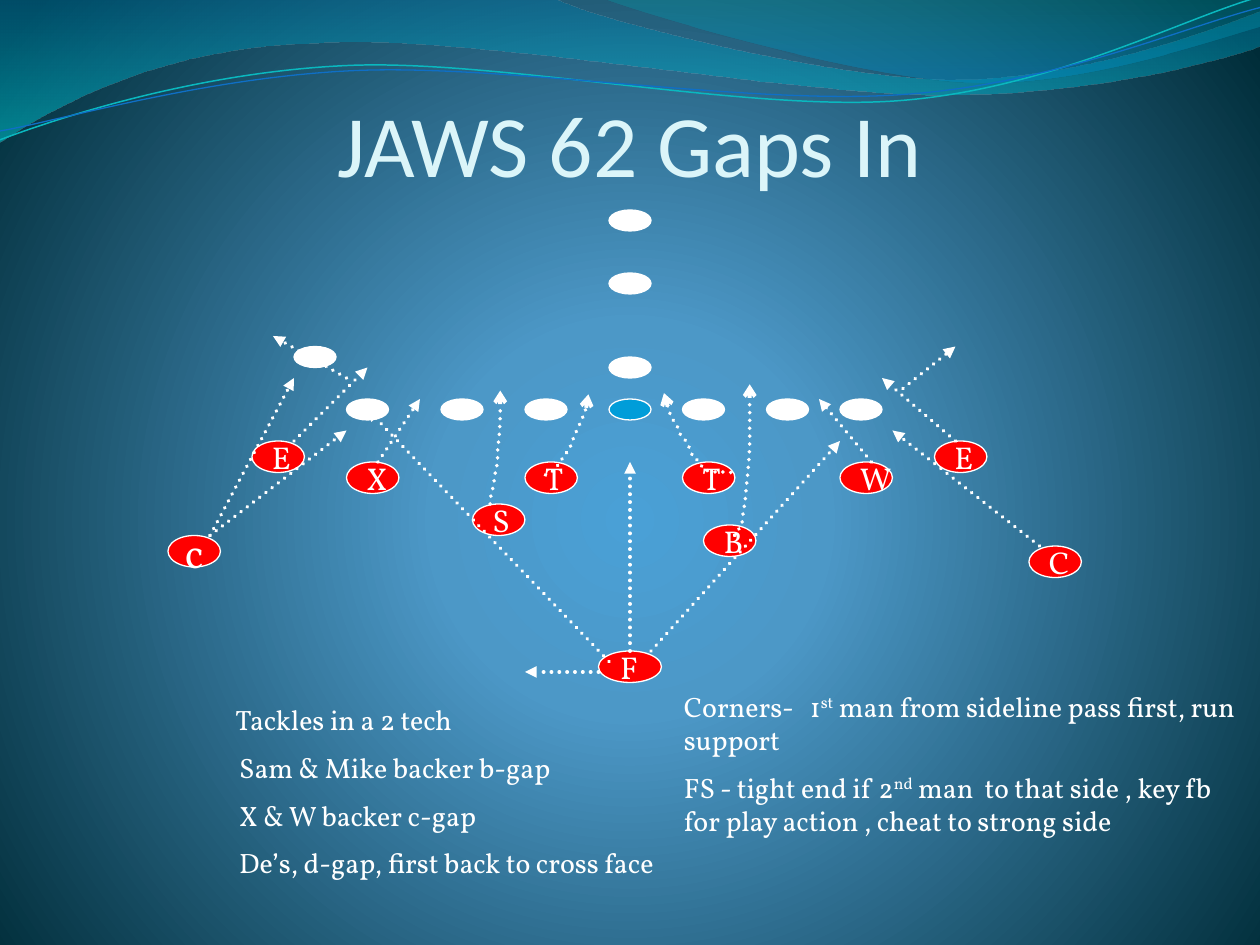
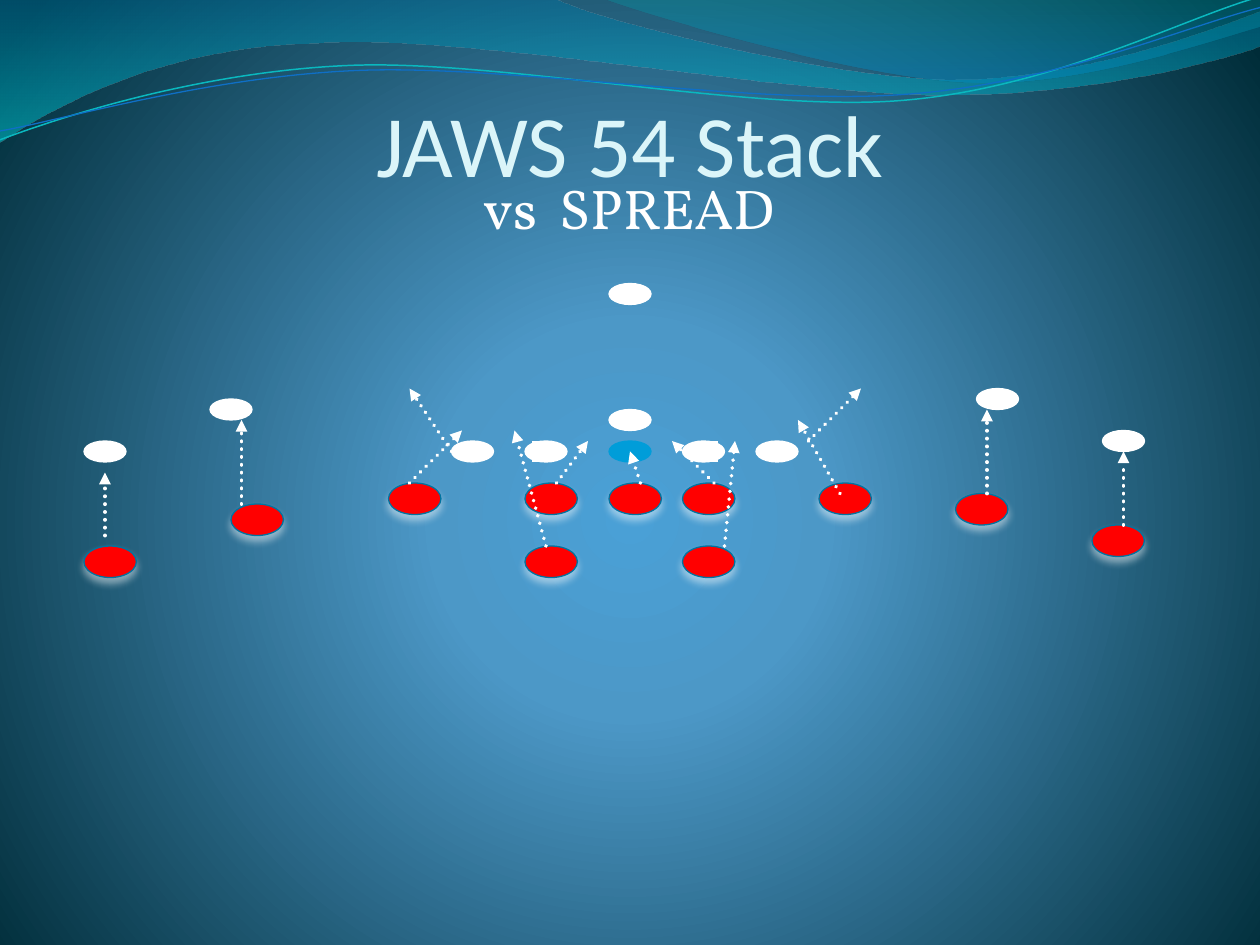
import pptx
import pptx.util
import pptx.dml.color
import pptx.enum.dml
import pptx.enum.shapes
import pptx.enum.text
import pptx.oxml
import pptx.oxml.ns

WIDE, HIGH, CELL = 10, 7.5, 1 / 12
WHITE, RED, BLUE, TEAL, PALE = "FFFFFF", "FF0000", "009DD9", "0074A1", "DBF5F9"
HEAD, BODY = "Calibri", "Vollkorn"
BACK = [(0, "4AA0D6", 100), (25, "4C98C7", 100), (100, "002C38", 100)]
GLOW = '<a:path path="circle"><a:fillToRect l="10000" t="110000" r="10000" b="100000"/></a:path>'
DOWN = '<a:lin ang="5400000" scaled="1"/>'

BANDS = [
    ([(0, 0), (4.4, -0.01), (4.76, 0.17, 6.64, 0.63, 7.58, 0.63),
      (8.53, 0.63, 9.58, 0.26, 10, 0.09), (10.01, 0.36),
      (9.83, 0.44, 8.7, 0.76, 7.46, 0.75), (6.22, 0.75, 3.82, 0.28, 2.57, 0.34),
      (1.29, 0.36, 0.46, 0.83, -0.01, 1.13), (0, 0)],
     [(0, TEAL, 45), (100, "00C6CF", 55)]),
    ([(4.79, -0.01), (5.09, 0.11, 6.82, 0.62, 7.69, 0.65),
      (8.56, 0.69, 9.61, 0.32, 10, 0.21), (10, 0), (4.79, -0.01)],
     [(0, "00A1A9", 30), (80, "008BBF", 45)]),
]
WAVES = [
    ([(0, 1.11), (0.48, 0.93, 1.58, 0.57, 2.77, 0.52), (3.95, 0.47, 5.93, 0.89, 7.13, 0.8),
      (8.33, 0.71, 9.38, 0.15, 9.98, -0.02)], "0AB8BF", 0.85),
    ([(0, 1.04), (0.47, 0.96, 1.64, 0.61, 2.83, 0.56), (4.03, 0.51, 5.97, 0.84, 7.17, 0.75),
      (8.36, 0.67, 9.41, 0.21, 10, 0.06)], "0F6FC6", 0.75),
]

GAPS = {
    "title": "JAWS 62 Gaps In",
    "offense": [(58, 26), (58, 20), (80, 38), (58, 34), (33, 38), (42, 38), (50, 38),
                (28, 33), (73, 38), (65, 38)],
    "center": (58, 38), "rim": WHITE,
    "defense": [("c", 16, 51), ("F", 57, 62), ("C", 98, 52), ("X", 33, 44), ("W", 80, 44),
                ("S", 45, 48), ("B", 67, 50), ("E", 24, 42), ("E", 89, 42),
                ("T", 50, 44), ("T", 65, 44)],
    "edge": WHITE, "shade": False, "bars": [],
    "paths": [
        [(5.8, 3.75), (5.73, 3.74, 5.64, 3.76, 5.58, 3.72), (5.57, 3.7, 5.56, 3.68, 5.55, 3.67),
         (5.54, 3.65, 5.52, 3.64, 5.5, 3.63), (5.48, 3.57, 5.45, 3.49, 5.4, 3.45),
         (5.38, 3.39, 5.37, 3.36, 5.33, 3.32), (5.3, 3.23, 5.32, 3.28, 5.28, 3.17),
         (5.28, 3.15, 5.27, 3.12, 5.27, 3.12)],
        [(4.33, 3.77), (4.43, 3.74, 4.45, 3.63, 4.52, 3.57), (4.56, 3.43, 4.67, 3.27, 4.67, 3.13)],
        [(5.83, 4.25), (5.86, 4.22, 5.86, 4.2, 5.89, 4.15), (5.9, 4.06, 5.89, 4.12, 5.91, 4),
         (5.92, 3.94, 5.92, 3.87, 5.93, 3.81), (5.94, 3.68, 5.95, 3.62, 5.95, 3.48),
         (5.95, 3.33, 5.95, 3.05, 5.95, 3.05)],
        [(3.89, 4), (3.89, 3.95, 3.9, 3.91, 3.91, 3.88), (3.92, 3.84, 3.92, 3.81, 3.93, 3.78),
         (3.93, 3.77, 3.93, 3.75, 3.93, 3.74), (3.93, 3.73, 3.94, 3.73, 3.94, 3.72),
         (3.95, 3.66, 3.95, 3.61, 3.95, 3.56), (3.97, 3.41, 3.97, 3.26, 3.97, 3.1)],
    ],
    "arrows": [(36, 44, 40, 38), (83, 44, 78, 38), (28, 42, 35, 35), (33, 36, 26, 32),
               (91, 42, 84, 36), (86, 37, 91, 33), (60, 62, 60, 44), (62, 62, 80, 42),
               (58, 63, 35, 39), (99, 52, 85, 41), (20, 51, 28, 36), (20, 51, 33, 41),
               (57, 64, 50, 64)],
    "notes": [
        ((1.67, 5.53, 7.5, 1.62), 16, "LEFT",
         [("Tackles in a 2 tech", 0.1), ("Sam & Mike backer b-gap", 0.13),
          ("X & W backer c-gap", 0.13), ("De’s, d-gap, first back to cross face", 0.13)]),
        ((5.33, 5.42, 4.62, 1.72), 16, "LEFT",
         [("Corners-\t1|st| man from sideline pass first, run support", 0),
          ("FS - tight end if 2|nd| man  to that side , key fb for play action , "
           "cheat to strong side", 0)]),
    ],
}
STACK = {
    "title": "JAWS 54 Stack",
    "offense": [(20, 38), (58, 27), (8, 42), (58, 39), (105, 41), (43, 42), (50, 42),
                (93, 37), (72, 42), (65, 42)],
    "center": (58, 42), "rim": BLUE,
    "defense": [("", 8, 52), ("", 65, 52), ("", 91, 47), ("", 37, 46), ("", 78, 46),
                ("", 50, 52), ("", 58, 46), ("", 22, 48), ("", 104, 50), ("", 50, 46),
                ("", 65, 46)],
    "edge": TEAL, "shade": True, "bars": [(51, 42, 51, 44), (68, 42, 68, 44)],
    "paths": [],
    "arrows": [(68, 46, 64, 42), (53, 46, 56, 42), (10, 51, 10, 45), (107, 50, 107, 43),
               (61, 46, 60, 43), (39, 46, 44, 41), (52, 52, 49, 41), (23, 48, 23, 40),
               (69, 52, 70, 42), (94, 47, 94, 39), (80, 47, 76, 40), (77, 42, 82, 37),
               (43, 43, 39, 37)],
    "notes": [((2.08, 1.33, 5.83, 0.64), 32, "CENTER", [("vs  SPREAD", 0)])],
}

Inch, Pt = pptx.util.Inches, pptx.util.Pt


def put(thing, **vals):
    for key, val in vals.items():
        setattr(thing, key, val)


def tint(hue):
    return pptx.dml.color.RGBColor.from_string(hue)


def node(text):
    space = pptx.oxml.ns.nsdecls("a")
    at = min(i for i in (text.find(" "), text.find("/"), text.find(">")) if i > 0)
    return pptx.oxml.parse_xml(f"{text[:at]} {space}{text[at:]}")


def paint(fill, hue):
    fill.solid()
    fill.fore_color.rgb = tint(hue)


def blend(old, stops, way):
    marks = ""
    for at, hue, seen in stops:
        veil = f'<a:alpha val="{seen * 1000}"/>' if seen < 100 else ""
        marks += f'<a:gs pos="{at * 1000}"><a:srgbClr val="{hue}">{veil}</a:srgbClr></a:gs>'
    new = node(f'<a:gradFill rotWithShape="1"><a:gsLst>{marks}</a:gsLst>{way}</a:gradFill>')
    old.getparent().replace(old, new)


def stroke(shape, hue, size, tip=None):
    paint(shape.line.fill, hue)
    shape.line.width = Pt(size)
    if tip:
        shape.line.dash_style = pptx.enum.dml.MSO_LINE.ROUND_DOT
        line = shape.element.xpath(".//a:ln")[0]
        line.set("cap", "rnd")
        line.append(node(f'<a:tailEnd type="{tip}"/>'))


def trace(slide, parts, close=False):
    dots = [(Inch(part[i]), Inch(part[i + 1])) for part in parts for i in range(0, len(part), 2)]
    pen = slide.shapes.build_freeform(*dots[0], scale=1.0)
    pen.add_line_segments(dots[1:], close=close)
    shape = pen.convert_to_shape()
    steps = iter(shape.element.xpath(".//a:lnTo"))
    for part in parts[1:]:
        first = next(steps)
        if len(part) == 6:
            curve = node("<a:cubicBezTo/>")
            first.addprevious(curve)
            for step in (first, next(steps), next(steps)):
                curve.append(step[0])
                step.getparent().remove(step)
    shape.shadow.inherit = False
    if close:
        shape.line.fill.background()
    else:
        shape.fill.background()
    return shape


def write(para, text, size, face, hue, align):
    para.alignment = getattr(pptx.enum.text.PP_ALIGN, align)
    for i, piece in enumerate(text.split("|")):
        run = para.add_run()
        run.text = piece
        put(run.font, size=Pt(size), name=face)
        run.font.color.rgb = tint(hue)
        if i % 2:
            run.font._element.set("baseline", "30000")


def oval(slide, col, row, wide, high, hue, edge):
    spot = [Inch(n * CELL) for n in (col, row, wide, high)]
    shape = slide.shapes.add_shape(pptx.enum.shapes.MSO_SHAPE.OVAL, *spot)
    shape.shadow.inherit = False
    paint(shape.fill, hue)
    stroke(shape, edge, 0.75)
    return shape


def link(slide, ends, size, tip=None):
    kind = pptx.enum.shapes.MSO_CONNECTOR.STRAIGHT
    line = slide.shapes.add_connector(kind, *[Inch(n * CELL) for n in ends])
    stroke(line, WHITE, size, tip)
    line.element.spPr.append(node("<a:effectLst/>"))


def frame(slide, box):
    text = slide.shapes.add_textbox(*[Inch(n) for n in box]).text_frame
    text.word_wrap = True
    return text


def base(deck):
    slide = deck.slides.add_slide(deck.slide_layouts[6])
    slide.background.fill.solid()
    blend(slide.element.xpath(".//p:bgPr/a:solidFill")[0], BACK, GLOW)
    for parts, stops in BANDS:
        band = trace(slide, parts, True)
        band.fill.solid()
        blend(band.element.xpath("./p:spPr/a:solidFill")[0], stops, DOWN)
    for parts, hue, size in WAVES:
        stroke(trace(slide, parts), hue, size)
    return slide


def head(slide, title):
    text = frame(slide, (0, 0.04 * HIGH, WIDE, HIGH / 6))
    put(text, margin_left=0, margin_right=0, margin_bottom=0, margin_top=Inch(0.05),
        vertical_anchor=pptx.enum.text.MSO_ANCHOR.BOTTOM)
    write(text.paragraphs[0], title, 50, HEAD, PALE, "CENTER")


def team(slide, play):
    for col, row in play["offense"]:
        oval(slide, col, row, 4, 2, WHITE, WHITE)
    oval(slide, *play["center"], 4, 2, BLUE, play["rim"])
    for name, col, row in play["defense"]:
        man = oval(slide, col, row, 6 if name == "F" else 5, 3, RED, play["edge"])
        if play["shade"]:
            man.element.xpath(".//a:effectLst")[0].append(node(
                '<a:outerShdw blurRad="57150" dist="38100" dir="5400000" rotWithShape="0">'
                f'<a:srgbClr val="{WHITE}"><a:alpha val="48000"/></a:srgbClr></a:outerShdw>'))
        if name:
            put(man.text_frame, word_wrap=False,
                vertical_anchor=pptx.enum.text.MSO_ANCHOR.MIDDLE)
            size, align = (24, "CENTER") if name == "c" else (18, "LEFT")
            write(man.text_frame.paragraphs[0], name, size, BODY, WHITE, align)


def note(slide, box, size, align, rows):
    text = frame(slide, box)
    for i, (words, inset) in enumerate(rows):
        para = text.add_paragraph() if i else text.paragraphs[0]
        write(para, words, size, BODY, WHITE, align)
        if i:
            para.space_before = Pt(size / 2)
        props = para._p.get_or_add_pPr()
        if inset:
            props.set("marL", str(Inch(inset)))
        if "\t" in words:
            props.append(node(f'<a:tabLst><a:tab pos="{Inch(1)}" algn="l"/></a:tabLst>'))


def main():
    deck = pptx.Presentation()
    put(deck, slide_width=Inch(WIDE), slide_height=Inch(HIGH))
    for play in (GAPS, STACK):
        slide = base(deck)
        team(slide, play)
        head(slide, play["title"])
        for parts in play["paths"]:
            stroke(trace(slide, parts), WHITE, 2.25, "arrow")
        for ends in play["bars"]:
            link(slide, ends, 4.5)
        for ends in play["arrows"]:
            link(slide, ends, 2.25, "triangle")
        for item in play["notes"]:
            note(slide, *item)
    deck.save("out.pptx")


if __name__ == "__main__":
    main()
